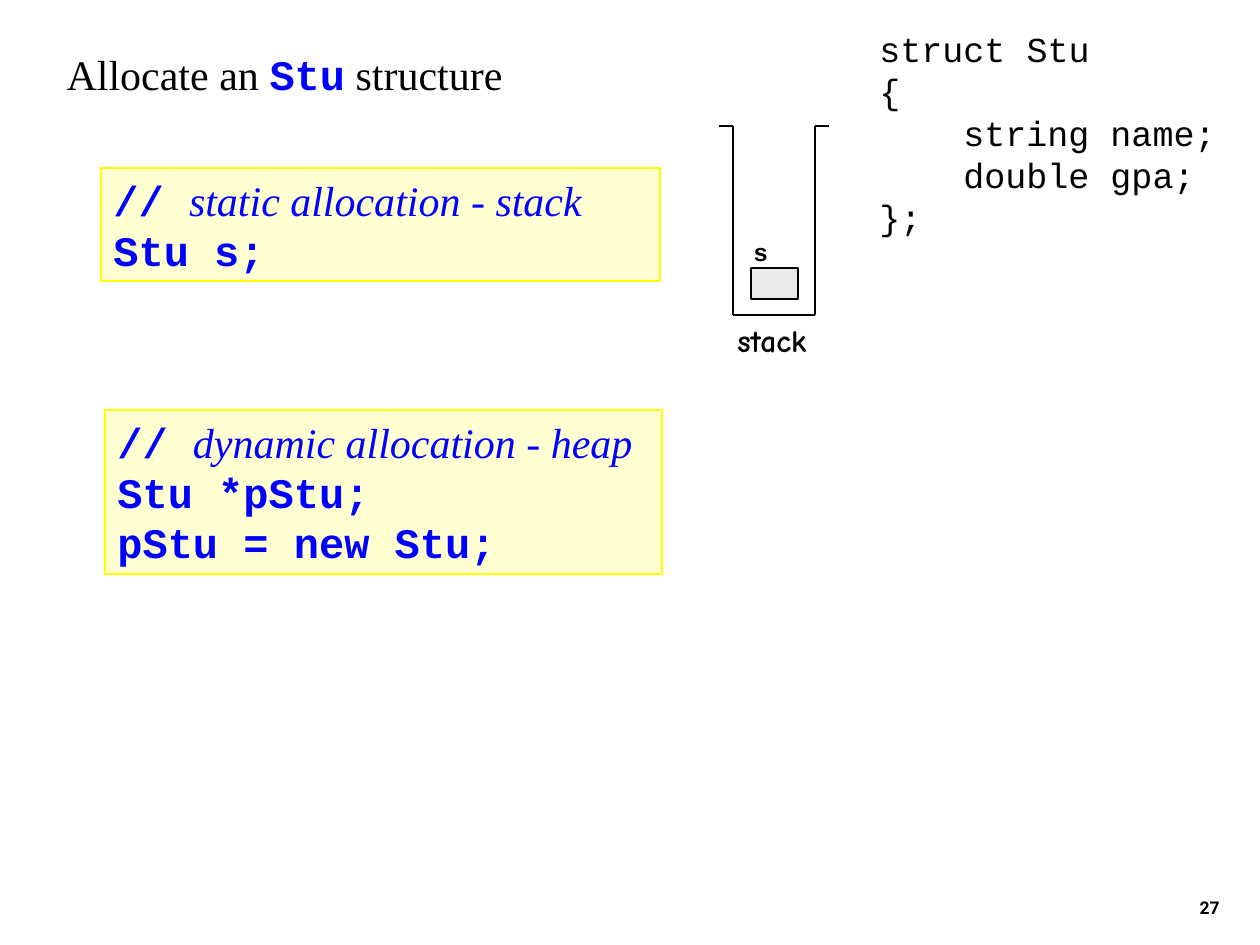
import itertools
import pptx
import pptx.util
import pptx.dml.color
import pptx.enum.shapes
import pptx.enum.text
import lxml.etree

PX = 914400 // 126
COLORS = {"ink": "000000", "code": "0000FF", "panel": "FFFFD1", "edge": "FFFF00", "cell": "EAEAEA"}
SERIF, MONO = "Times New Roman", "Courier New"
PLAIN = (SERIF, 24, "ink", "")
CODE = (MONO, 24, "code", "b")
NOTE = (SERIF, 24, "code", "i")
STRUCT = (MONO, 20, "ink", "")

TITLE = ((54, 42, 587, 63), [[("Allocate an ", PLAIN), ("Stu", CODE), (" structure", PLAIN)]])
PANELS = [
    ((101, 168, 559, 113), [[("// ", CODE), ("static allocation - stack", NOTE)],
                            [("Stu s;", CODE)]]),
    ((105, 410, 557, 164), [[("// ", CODE), ("dynamic allocation - heap", NOTE)],
                            [("Stu *pStu;", CODE)],
                            [("pStu = new Stu;", CODE)]]),
]
STRUCT_BOX = (867, 21, 373, 223)
STRUCT_LINES = [("struct Stu", 0), ("{", 0), ("string name;", 84), ("double gpa;", 84), ("};", 0)]
LABELS = [
    ((741, 231, 84, 43), "s", (MONO, 14, "ink", "b")),
    ((725, 315, 116, 50), "stack", ("Comic Neue", 18, "ink", "b")),
]
NUMBER = ((970, 861, 262, 63), "27", ("Roboto", 10, "ink", "b"))
STACK_OUTLINE = [(719, 126), (733, 126), (733, 315), (815, 315), (815, 126), (829, 126)]
STACK_CELL = (751, 268, 47, 31)

ALIGN = pptx.enum.text.PP_ALIGN
ANCHOR = pptx.enum.text.MSO_ANCHOR


def emu(values):
    return [v * PX for v in values]


def rgb(name):
    return pptx.dml.color.RGBColor.from_string(COLORS[name])


def write(shape, lines, align=ALIGN.LEFT, anchor=ANCHOR.TOP, wrap=True, indents=None):
    tf = shape.text_frame
    tf.word_wrap = wrap
    tf.auto_size = pptx.enum.text.MSO_AUTO_SIZE.NONE
    tf.vertical_anchor = anchor
    for i, line in enumerate(lines):
        p = tf.paragraphs[0] if i == 0 else tf.add_paragraph()
        p.alignment = align
        if indents and indents[i]:
            p._p.get_or_add_pPr().set("marL", str(indents[i] * PX))
        for text, (font, size, color, style) in line:
            r = p.add_run()
            r.text = text
            r.font.name = font
            r.font.size = pptx.util.Pt(size)
            r.font.color.rgb = rgb(color)
            r.font.bold = style == "b"
            r.font.italic = style == "i"


def add_box(box, fill, edge):
    sp = s.shapes.add_shape(pptx.enum.shapes.MSO_SHAPE.RECTANGLE, *emu(box))
    sp.shadow.inherit = False
    sp.fill.solid()
    sp.fill.fore_color.rgb = rgb(fill)
    sp.line.color.rgb = rgb(edge)
    sp.line.width = pptx.util.Pt(0.74)
    return sp


def add_line(start, end):
    c = s.shapes.add_connector(pptx.enum.shapes.MSO_CONNECTOR.STRAIGHT, *emu(start + end))
    c.line.color.rgb = rgb("ink")
    c.line.width = pptx.util.Pt(0.74)
    lxml.etree.SubElement(c._element.spPr, pptx.oxml.ns.qn("a:effectLst"))


prs = pptx.Presentation()
prs.slide_width, prs.slide_height = emu((1260, 945))
s = prs.slides.add_slide(prs.slide_layouts[5])

title_box, title_lines = TITLE
title = s.shapes.title
title.left, title.top, title.width, title.height = emu(title_box)
write(title, title_lines, wrap=False)

for box, lines in PANELS:
    write(add_box(box, "panel", "edge"), lines)

for start, end in itertools.pairwise(STACK_OUTLINE):
    add_line(start, end)
add_box(STACK_CELL, "cell", "ink")

for box, text, style in LABELS:
    write(s.shapes.add_textbox(*emu(box)), [[(text, style)]])

write(s.shapes.add_textbox(*emu(STRUCT_BOX)), [[(text, STRUCT)] for text, _ in STRUCT_LINES],
      indents=[indent for _, indent in STRUCT_LINES])

box, text, style = NUMBER
write(s.shapes.add_textbox(*emu(box)), [[(text, style)]], ALIGN.RIGHT, ANCHOR.BOTTOM)

prs.save("out.pptx")
